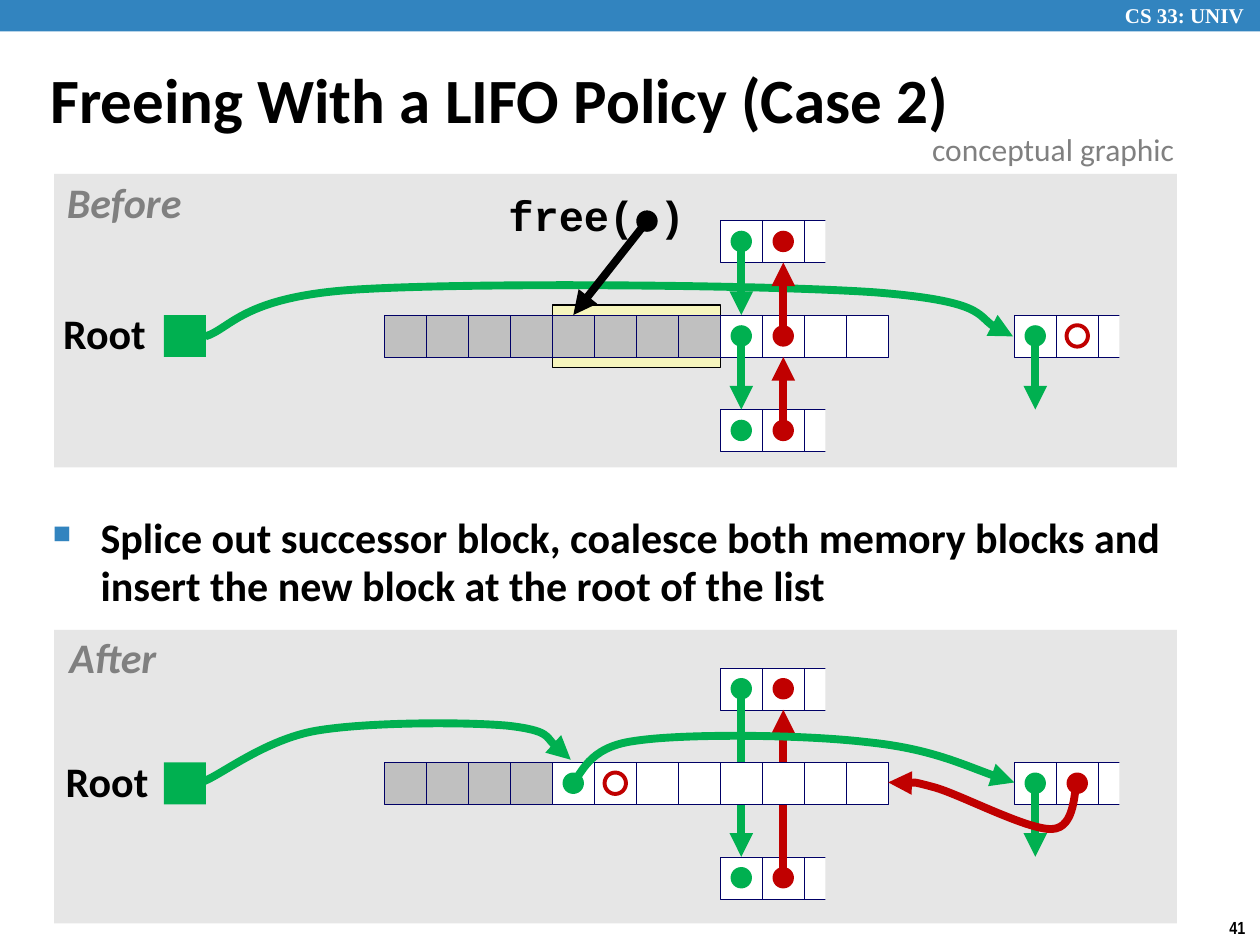
"""Build a slide that shows freeing a block under a LIFO policy, before and after."""
from dataclasses import dataclass

from lxml.etree import SubElement
from pptx import Presentation
from pptx.dml.color import RGBColor
from pptx.enum.shapes import MSO_CONNECTOR as Connector, MSO_SHAPE as Preset
from pptx.enum.text import MSO_ANCHOR as Anchor, MSO_AUTO_SIZE as AutoSize, PP_ALIGN as Align
from pptx.oxml.ns import qn
from pptx.slide import Slide
from pptx.util import Inches, Pt


@dataclass(frozen=True)
class Theme:
    blue: str = "3284BF"
    panel: str = "E6E6E6"
    used: str = "C0C0C0"
    free: str = "FFFFFF"
    edge: str = "000066"
    highlight: str = "F6F5BD"
    forward: str = "00B050"
    back: str = "C00000"
    ink: str = "000000"
    muted: str = "808080"
    sans: str = "Calibri"
    mono: str = "Courier New"
    serif: str = "Times New Roman"
    narrow: str = "Arial Narrow"
    title: float = 36
    body: float = 24
    note: float = 18
    header: float = 12
    number: float = 10
    arrow: float = 4.5
    ring: float = 2.25
    hairline: float = 0.25


@dataclass(frozen=True)
class Label:
    text: str
    left: float
    top: float
    width: float
    height: float
    size: float
    font: str = "Calibri"
    color: str = "000000"
    bold: bool = True
    italic: bool = False
    wrap: bool = False
    inset: float = 0.1
    align: Align = Align.LEFT
    spacing: float = 1.0
    hanging: float = 0
    anchor: Anchor = Anchor.TOP


@dataclass(frozen=True)
class Curve:
    color: str
    points: tuple


THEME = Theme()
CELL = 1 / 3
DOT = 0.17
ROW_STEP = 0.75
BEFORE, AFTER = 2.5, 6.05
NEIGHBOR, TAIL = 8, 15

BEFORE_ROOT = Curve(THEME.forward, (
    (1.63, 2.67), (1.83, 2.61), (1.92, 2.36), (2.8, 2.3), (3.69, 2.24),
    (6.06, 2.26), (6.94, 2.32), (7.81, 2.39), (7.81, 2.6), (8.04, 2.67)))
AFTER_CURVES = (
    Curve(THEME.forward, (
        (4.54, 6.21), (4.62, 6.16), (4.65, 5.93), (5.04, 5.88), (5.43, 5.82),
        (6.38, 5.83), (6.88, 5.89), (7.38, 5.94), (7.81, 6.14), (8.05, 6.21))),
    Curve(THEME.back, (
        (8.55, 6.21), (8.52, 6.27), (8.54, 6.57), (8.35, 6.58), (8.16, 6.59),
        (7.63, 6.31), (7.42, 6.25), (7.2, 6.19), (7.13, 6.22), (7.05, 6.21))),
    Curve(THEME.forward, (
        (1.62, 6.2), (1.77, 6.14), (2.11, 5.87), (2.51, 5.8), (2.92, 5.73),
        (3.7, 5.73), (4.03, 5.76), (4.37, 5.8), (4.43, 5.97), (4.53, 6.03))))


def diagram_label(text: str, left: float, top: float, width: float, **style) -> Label:
    return Label(text, left, top, width, 0.47, THEME.body, inset=0.05,
                 align=Align.CENTER, spacing=0.9, **style)


HEADER = Label("CS 33: UNIV", 8.83, -0.03, 1.24, 0.3, THEME.header, THEME.serif, THEME.free, wrap=True)
NUMBER = Label("41", 9.66, 7.23, 0.34, 0.27, THEME.number, THEME.narrow)
TITLE = Label("Freeing With a LIFO Policy (Case 2)", 0.3, 0.39, 9.53, 0.86, THEME.title,
              wrap=True, spacing=0.87, hanging=0.13, anchor=Anchor.MIDDLE)
NOTE = Label("conceptual graphic", 7.3, 0.98, 2.17, 0.4, THEME.note, color=THEME.muted, bold=False)
BODY = Label("Splice out successor block, coalesce both memory blocks and "
             "insert the new block at the root of the list", 0.32, 4.04, 9.09, 0.86, THEME.body,
             wrap=True, spacing=0.95, hanging=0.38)


def rgb(color: str) -> RGBColor:
    return RGBColor.from_string(color)


def column(index: float) -> float:
    return 3.05 + index * CELL


def add_preset(page: Slide, preset: Preset, left: float, top: float, width: float, height: float,
               fill: str = "", line: str = "", weight: float = 0) -> None:
    shape = page.shapes.add_shape(preset, Inches(left), Inches(top), Inches(width), Inches(height))
    shape.shadow.inherit = False
    if fill:
        shape.fill.solid()
        shape.fill.fore_color.rgb = rgb(fill)
    else:
        shape.fill.background()
    if line:
        shape.line.color.rgb = rgb(line)
        shape.line.width = Pt(weight)
    else:
        shape.line.fill.background()


def add_label(page: Slide, label: Label, bullet: str = "") -> None:
    box = page.shapes.add_textbox(Inches(label.left), Inches(label.top),
                                  Inches(label.width), Inches(label.height))
    frame = box.text_frame
    frame.text = label.text
    frame.word_wrap = label.wrap
    frame.auto_size = AutoSize.NONE if label.hanging else AutoSize.SHAPE_TO_FIT_TEXT
    frame.vertical_anchor = label.anchor
    frame.margin_left = frame.margin_right = Inches(label.inset)
    frame.margin_top = frame.margin_bottom = Inches(0.05)
    para = frame.paragraphs[0]
    para.alignment = label.align
    para.line_spacing = label.spacing
    font = para.runs[0].font
    font.name, font.size, font.bold, font.italic = label.font, Pt(label.size), label.bold, label.italic
    font.color.rgb = rgb(label.color)
    properties = para._p.get_or_add_pPr()
    properties.set("marL", str(Inches(label.hanging)))
    properties.set("indent", str(-Inches(label.hanging)))
    if bullet:
        SubElement(SubElement(properties, qn("a:buClr")), qn("a:srgbClr"), val=THEME.blue)
        SubElement(properties, qn("a:buSzPct"), val="60000")
        SubElement(properties, qn("a:buChar"), char=bullet)


def style_arrow(shape, color: str) -> None:
    shape.line.color.rgb = rgb(color)
    shape.line.width = Pt(THEME.arrow)
    SubElement(shape.element.spPr.find(qn("a:ln")), qn("a:tailEnd"), type="triangle")


def add_arrow(page: Slide, start: tuple, end: tuple, color: str) -> None:
    arrow = page.shapes.add_connector(Connector.STRAIGHT, *(Inches(value) for value in start + end))
    style_arrow(arrow, color)
    SubElement(arrow.element.spPr, qn("a:effectLst"))


def add_curve(page: Slide, curve: Curve) -> None:
    start, *rest = [(Inches(x), Inches(y)) for x, y in curve.points]
    builder = page.shapes.build_freeform(*start)
    builder.add_line_segments(rest, close=False)
    shape = builder.convert_to_shape()
    outline = next(shape.element.iter(qn("a:path")))
    segments = outline.findall(qn("a:lnTo"))
    for first in range(0, len(segments), 3):
        bezier = SubElement(outline, qn("a:cubicBezTo"))
        for segment in segments[first:first + 3]:
            bezier.append(segment[0])
            outline.remove(segment)
    shape.fill.background()
    shape.shadow.inherit = False
    style_arrow(shape, curve.color)


def add_cells(page: Slide, first: int, count: int, top: float, fill: str) -> None:
    for index in range(first, first + count):
        add_preset(page, Preset.RECTANGLE, column(index), top, CELL, CELL, fill, THEME.edge, THEME.hairline)


def add_cut_block(page: Slide, first: int, top: float) -> None:
    add_cells(page, first, 3, top, THEME.free)
    add_preset(page, Preset.RECTANGLE, column(first + 2.5), top - 0.08, CELL, 0.5, THEME.panel)


def add_dot(page: Slide, index: int, top: float, color: str, hollow: bool = False) -> None:
    offset = (CELL - DOT) / 2
    style = {"line": color, "weight": THEME.ring} if hollow else {"fill": color}
    add_preset(page, Preset.OVAL, column(index) + offset, top + offset, DOT, DOT, **style)


def add_link(page: Slide, index: int, top: float, end: float, color: str) -> None:
    center = column(index + 0.5)
    add_arrow(page, (center, top + CELL / 2), (center, end), color)


def add_surroundings(page: Slide, top: float) -> None:
    upper, lower = top - ROW_STEP, top + ROW_STEP
    add_preset(page, Preset.RECTANGLE, column(-5.25), top, CELL, CELL, THEME.forward)
    add_cut_block(page, TAIL, top)
    add_dot(page, TAIL, top, THEME.forward)
    add_link(page, TAIL, top, lower, THEME.forward)
    for row in (upper, lower):
        add_cut_block(page, NEIGHBOR, row)
        add_dot(page, NEIGHBOR, row, THEME.forward)
        add_dot(page, NEIGHBOR + 1, row, THEME.back)


def draw_before(page: Slide) -> None:
    add_preset(page, Preset.RECTANGLE, 0.43, 1.38, 8.91, 2.33, THEME.panel)
    add_preset(page, Preset.RECTANGLE, column(4), 2.42, 4 * CELL, 0.5, THEME.highlight, THEME.ink, 0.75)
    add_curve(page, BEFORE_ROOT)
    add_cells(page, 0, 8, BEFORE, THEME.used)
    add_cells(page, 8, 4, BEFORE, THEME.free)
    add_surroundings(page, BEFORE)
    add_dot(page, NEIGHBOR, BEFORE, THEME.forward)
    add_dot(page, NEIGHBOR + 1, BEFORE, THEME.back)
    add_dot(page, TAIL + 1, BEFORE, THEME.back, hollow=True)
    for row in (BEFORE - ROW_STEP, BEFORE):
        add_link(page, NEIGHBOR, row, row + ROW_STEP, THEME.forward)
        add_link(page, NEIGHBOR + 1, row + ROW_STEP, row + CELL, THEME.back)
    add_label(page, diagram_label("free( )", 3.98, 1.5, 1.51, font=THEME.mono))
    add_preset(page, Preset.OVAL, 5.05, 1.67, DOT, DOT, THEME.ink)
    add_arrow(page, (5.14, 1.75), (4.55, 2.5), THEME.ink)
    add_label(page, diagram_label("Root", 0.45, 2.44, 0.76))
    add_label(page, diagram_label("Before", 0.47, 1.4, 1.03, color=THEME.muted, italic=True))


def draw_after(page: Slide) -> None:
    upper, lower = AFTER - ROW_STEP, AFTER + ROW_STEP
    add_preset(page, Preset.RECTANGLE, 0.43, 5, 8.91, 2.33, THEME.panel)
    add_surroundings(page, AFTER)
    add_link(page, NEIGHBOR, upper, lower, THEME.forward)
    add_link(page, NEIGHBOR + 1, lower, upper + CELL, THEME.back)
    add_cells(page, 0, 4, AFTER, THEME.used)
    add_cells(page, 4, 8, AFTER, THEME.free)
    add_dot(page, 4, AFTER, THEME.forward)
    add_dot(page, 5, AFTER, THEME.back, hollow=True)
    add_dot(page, TAIL + 1, AFTER, THEME.back)
    for curve in AFTER_CURVES:
        add_curve(page, curve)
    add_label(page, diagram_label("Root", 0.47, 5.99, 0.76))
    add_label(page, diagram_label("After", 0.49, 5.01, 0.81, color=THEME.muted, italic=True))


def main() -> None:
    deck = Presentation()
    deck.slide_width, deck.slide_height = Inches(10), Inches(7.5)
    page = deck.slides.add_slide(deck.slide_layouts[6])
    add_preset(page, Preset.RECTANGLE, 0, 0, 10, 0.25, THEME.blue)
    for label in (HEADER, NUMBER, TITLE, NOTE):
        add_label(page, label)
    add_label(page, BODY, bullet="■")
    draw_before(page)
    draw_after(page)
    deck.save("out.pptx")


if __name__ == "__main__":
    main()
